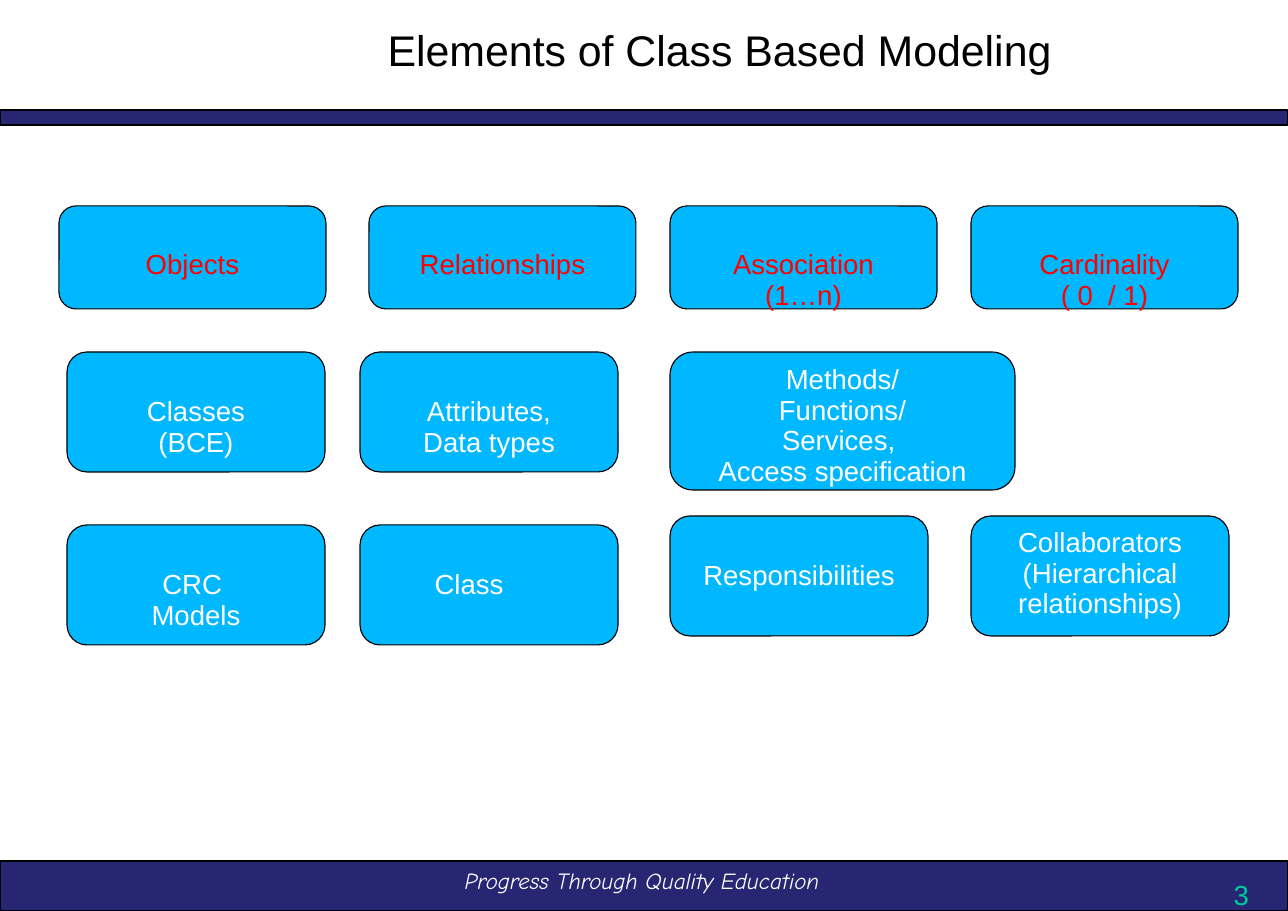
"""Builds the slide on the elements of class based modeling."""
from dataclasses import dataclass

from pptx import Presentation
from pptx.dml.color import RGBColor
from pptx.enum.shapes import MSO_SHAPE
from pptx.enum.text import MSO_ANCHOR, PP_ALIGN
from pptx.util import Emu, Pt

RECTANGLE, ROUNDED = MSO_SHAPE.RECTANGLE, MSO_SHAPE.ROUNDED_RECTANGLE
CENTER, RIGHT = PP_ALIGN.CENTER, PP_ALIGN.RIGHT
TOP = MSO_ANCHOR.TOP

TITLE = "Elements of Class Based Modeling"
FOOTER = "Progress Through Quality Education"
PAGE_NUMBER = "3"
BARS = [(0, 861, 1288, 50), (0, 110, 1288, 15)]

HEADINGS = [
    (59, ["Objects"]),
    (369, ["Relationships"]),
    (670, ["Association", "(1…n)"]),
    (971, ["Cardinality", "( 0  / 1)"]),
]
HEADING_TOP, HEADING_SIZE = 206, (267, 103)

DETAIL_SIZE = (258, 120)
METHODS_SIZE = (345, 138)
LOWERED, RAISED = 33, 0
DETAILS = [
    (67, 352, DETAIL_SIZE, LOWERED, 0, ["Classes", "(BCE)"]),
    (360, 352, DETAIL_SIZE, LOWERED, 0, ["Attributes,", "Data types"]),
    (670, 352, METHODS_SIZE, RAISED, 0,
     ["Methods/", "Functions/", "Services, ", "Access specification"]),
    (67, 525, DETAIL_SIZE, LOWERED, 0, ["CRC ", "Models"]),
    (360, 525, DETAIL_SIZE, LOWERED, 40, ["Class"]),
    (670, 516, DETAIL_SIZE, LOWERED, 0, ["Responsibilities"]),
    (971, 516, DETAIL_SIZE, RAISED, 0,
     ["Collaborators", "(Hierarchical relationships)"]),
]


@dataclass(frozen=True)
class Theme:
    """Colours, fonts and type sizes of the slide."""
    navy = RGBColor(0x26, 0x26, 0x73)
    blue = RGBColor(0x00, 0xB8, 0xFF)
    red = RGBColor(0xFF, 0x00, 0x00)
    green = RGBColor(0x00, 0xCC, 0x99)
    black = RGBColor(0x00, 0x00, 0x00)
    white = RGBColor(0xFF, 0xFF, 0xFF)
    font = "Arial"
    footer_font = "Comic Neue"
    title_size = 28
    body_size = 18
    footer_size = 15
    line_width = 0.75
    line_spacing = 0.93


THEME = Theme()


def px(length):
    """Turns px into EMU."""
    return Emu(length * 8298)


def write(shape, lines, size, color, insets, align=CENTER, font=THEME.font,
          spacing=THEME.line_spacing, italic=False):
    """Writes one paragraph per line, from the top of the shape."""
    frame = shape.text_frame
    frame.word_wrap = True
    frame.vertical_anchor = TOP
    (frame.margin_left, frame.margin_top,
     frame.margin_right, frame.margin_bottom) = map(px, insets)
    frame.text = "\n".join(lines)
    for paragraph in frame.paragraphs:
        paragraph.alignment = align
        paragraph.line_spacing = spacing
        paragraph.font.name = font
        paragraph.font.size = Pt(size)
        paragraph.font.italic = italic
        paragraph.font.color.rgb = color


def add_box(slide, kind, box, fill):
    """Adds a filled shape with a thin black outline."""
    shape = slide.shapes.add_shape(kind, *map(px, box))
    shape.shadow.inherit = False
    shape.fill.solid()
    shape.fill.fore_color.rgb = fill
    shape.line.color.rgb = THEME.black
    shape.line.width = Pt(THEME.line_width)
    return shape


def add_element(slide, box, lines, color, lowering, right_indent=0):
    """Adds a rounded box with its label."""
    shape = add_box(slide, ROUNDED, box, THEME.blue)
    insets = (11, 6 + lowering, 11 + right_indent, 0)
    write(shape, lines, THEME.body_size, color, insets)


def main():
    """Builds and saves the slide."""
    presentation = Presentation()
    presentation.slide_width, presentation.slide_height = px(1288), px(911)
    slide = presentation.slides.add_slide(presentation.slide_layouts[5])
    text_insets = (12, 7, 12, 7)

    for bar in BARS:
        add_box(slide, RECTANGLE, bar, THEME.navy)

    title = slide.shapes.title
    title.left, title.top, title.width, title.height = map(px, (336, 21, 767, 71))
    write(title, [TITLE], THEME.title_size, THEME.black, text_insets)

    footer = slide.shapes.add_textbox(*map(px, (336, 860, 612, 51)))
    write(footer, [FOOTER], THEME.footer_size, THEME.white, text_insets,
          font=THEME.footer_font, spacing=1.0, italic=True)
    number = slide.shapes.add_textbox(*map(px, (961, 871, 300, 36)))
    write(number, [PAGE_NUMBER], THEME.body_size, THEME.green, text_insets,
          align=RIGHT, spacing=1.0)

    for left, lines in HEADINGS:
        add_element(slide, (left, HEADING_TOP, *HEADING_SIZE), lines,
                    THEME.red, LOWERED)
    for left, top, size, lowering, right_indent, lines in DETAILS:
        add_element(slide, (left, top, *size), lines, THEME.white,
                    lowering, right_indent)

    presentation.save("out.pptx")


if __name__ == "__main__":
    main()
